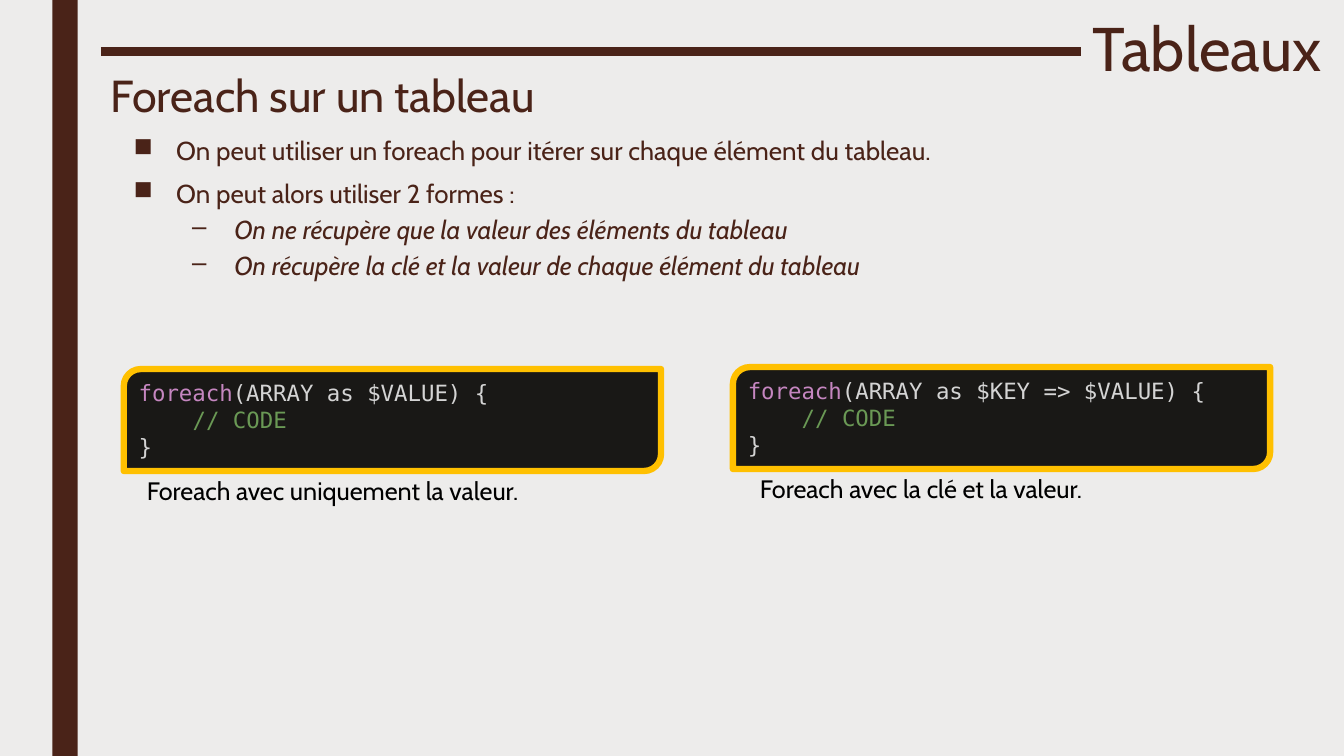
from lxml import etree
from pptx import Presentation
from pptx.dml.color import RGBColor
from pptx.enum import shapes, text
from pptx.oxml import ns
from pptx.util import Cm, Pt

BROWN, PAPER, BLACK = "4A2318", "EDECEB", "000000"
CODE_FILL, CODE_BORDER = "191816", "FFC000"
KEYWORD, PLAIN, REMARK = "C586C0", "D4D4D4", "6A9955"
BODY_FONT, CODE_FONT = "Cabin", "DejaVu Sans Mono"

TITLE = "Tableaux"
SUBTITLE = "Foreach sur un tableau"
BULLETS = [
    (0, "On peut utiliser un foreach pour itérer sur chaque élément du tableau."),
    (0, "On peut alors utiliser 2 formes :"),
    (1, "On ne récupère que la valeur des éléments du tableau"),
    (1, "On récupère la clé et la valeur de chaque élément du tableau"),
]
# Per level: bullet, left margin (cm), space before (pt), italic
LEVELS = [("■", 1.07, 10, False), ("–", 2.54, 5, True)]
HANGING = 1.07

# Left, top, loop header, caption left, caption
EXAMPLES = [
    (3.12, 9.3, "(ARRAY as $VALUE) {", 3.45, "Foreach avec uniquement la valeur."),
    (18.47, 9.25, "(ARRAY as $KEY => $VALUE) {", 18.9, "Foreach avec la clé et la valeur."),
]
CODE_WIDTH, CODE_HEIGHT, CODE_INDENT = 13.54, 2.57, 1.36
CAPTION_WIDTH, CAPTION_HEIGHT, CAPTION_DROP = 10.08, 1.02, 2.55


def color(value):
    return RGBColor.from_string(value)


def set_font(paragraph, name, size):
    paragraph.font.name = name
    paragraph.font.size = Pt(size)


def set_margin(paragraph, left, first=0):
    """Set the left margin and first-line indent, in cm."""
    properties = paragraph._p.get_or_add_pPr()
    properties.set("marL", str(Cm(left)))
    properties.set("indent", str(Cm(first)))
    return properties


def add_text(slide, box, lines, size, fill=BROWN, spacing=None, anchor=text.MSO_ANCHOR.TOP):
    """Add a text box in one font and return its paragraphs."""
    frame = slide.shapes.add_textbox(*map(Cm, box)).text_frame
    frame.word_wrap = True
    frame.vertical_anchor = anchor
    frame.text = "\n".join(lines)
    for paragraph in frame.paragraphs:
        set_font(paragraph, BODY_FONT, size)
        paragraph.font.color.rgb = color(fill)
        if spacing:
            paragraph.line_spacing = spacing
    return frame.paragraphs


def add_frame_lines(slide, height):
    """Draw the side bar and the rule beside the title."""
    bar = slide.shapes.add_shape(shapes.MSO_SHAPE.RECTANGLE, Cm(1.32), 0, Cm(0.64), height)
    bar.shadow.inherit = False
    bar.fill.solid()
    bar.fill.fore_color.rgb = color(BROWN)
    bar.line.fill.background()

    rule = slide.shapes.add_connector(
        shapes.MSO_CONNECTOR.STRAIGHT, Cm(2.54), Cm(1.3), Cm(27.25), Cm(1.3))
    rule.line.color.rgb = color(BROWN)
    rule.line.width = Pt(6)
    etree.SubElement(rule._element.spPr, ns.qn("a:effectLst"))


def add_bullets(slide):
    paragraphs = add_text(
        slide, (3.12, 3.4, 29.9, 3.91), [line for _, line in BULLETS], 18.5, spacing=0.84)
    for paragraph, (level, _) in zip(paragraphs, BULLETS):
        bullet, margin, before, italic = LEVELS[level]
        paragraph.level = level
        paragraph.space_before = Pt(before)
        paragraph.space_after = Pt(2)
        paragraph.font.italic = italic
        properties = set_margin(paragraph, margin, -HANGING)
        character = etree.Element(ns.qn("a:buChar"), char=bullet)
        properties.find(ns.qn("a:defRPr")).addprevious(character)


def add_code(slide, left, top, header):
    box = slide.shapes.add_shape(
        shapes.MSO_SHAPE.ROUND_2_DIAG_RECTANGLE,
        *map(Cm, (left, top, CODE_WIDTH, CODE_HEIGHT)))
    box.shadow.inherit = False
    box.fill.solid()
    box.fill.fore_color.rgb = color(CODE_FILL)
    box.line.color.rgb = color(CODE_BORDER)
    box.line.width = Pt(4.5)

    frame = box.text_frame
    frame.word_wrap = True
    frame.vertical_anchor = text.MSO_ANCHOR.TOP
    code = [
        (0, [("foreach", KEYWORD), (header, PLAIN)]),
        (CODE_INDENT, [("// CODE", REMARK)]),
        (0, [("}", PLAIN)]),
    ]
    for number, (indent, pieces) in enumerate(code):
        paragraph = frame.add_paragraph() if number else frame.paragraphs[0]
        paragraph.alignment = text.PP_ALIGN.LEFT
        set_font(paragraph, CODE_FONT, 16)
        set_margin(paragraph, indent)
        for piece, fill in pieces:
            run = paragraph.add_run()
            run.text = piece
            run.font.color.rgb = color(fill)


def main():
    presentation = Presentation()
    presentation.slide_width, presentation.slide_height = Cm(33.87), Cm(19.05)
    slide = presentation.slides.add_slide(presentation.slide_layouts[6])
    slide.background.fill.solid()
    slide.background.fill.fore_color.rgb = color(PAPER)

    add_frame_lines(slide, presentation.slide_height)
    middle = text.MSO_ANCHOR.MIDDLE
    title, = add_text(slide, (27.25, 0.3, 6.32, 2), [TITLE], 44, spacing=0.89, anchor=middle)
    title.alignment = text.PP_ALIGN.RIGHT
    add_text(slide, (2.54, 1.78, 20.04, 1.45), [SUBTITLE], 32, spacing=0.79, anchor=middle)
    add_bullets(slide)
    for left, top, header, caption_left, caption in EXAMPLES:
        add_code(slide, left, top, header)
        caption_box = (caption_left, top + CAPTION_DROP, CAPTION_WIDTH, CAPTION_HEIGHT)
        add_text(slide, caption_box, [caption], 18, BLACK)

    presentation.save("out.pptx")


if __name__ == "__main__":
    main()
